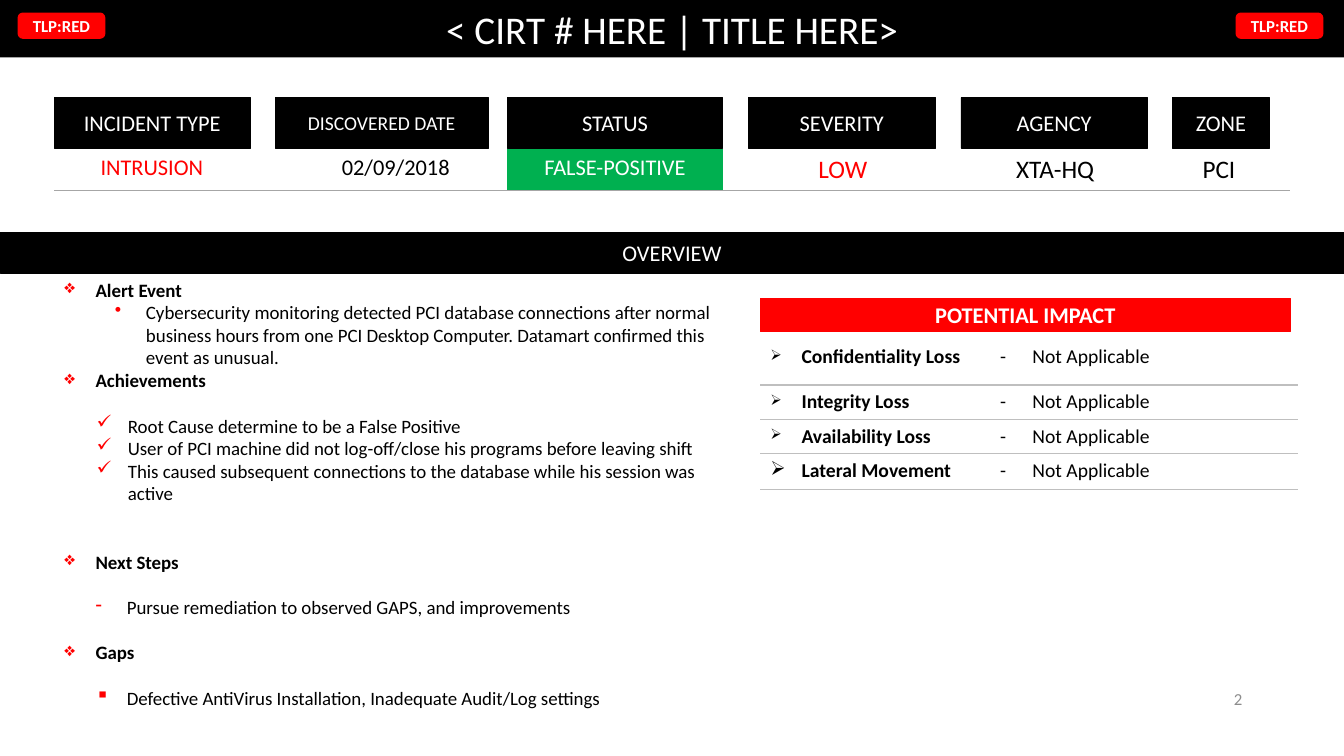
"""Build the one-page incident report slide."""
from dataclasses import dataclass
from typing import Optional

from lxml.etree import SubElement
from pptx import Presentation
from pptx.dml.color import RGBColor
from pptx.enum.shapes import MSO_SHAPE as SHAPE
from pptx.enum.text import MSO_ANCHOR as ANCHOR, PP_ALIGN as ALIGN
from pptx.oxml.ns import qn
from pptx.util import Inches, Pt


@dataclass(frozen=True)
class Theme:
    font: str = "Calibri"
    black: str = "000000"
    white: str = "FFFFFF"
    red: str = "FF0000"
    green: str = "00B050"
    status_rule: str = "A6A6A6"
    impact_rule: str = "BFBFBF"
    muted: str = "8C8C8C"
    title: float = 28
    large: float = 18
    heading: float = 16
    impact: float = 14
    body: float = 13.5
    small: float = 12
    body_line: float = 16.2


T = Theme()


@dataclass(frozen=True)
class Bar:
    text: str
    left: float
    top: float
    width: float
    height: float
    size: float = T.heading
    fill: str = T.black
    line: Optional[float] = 0.5
    bold: bool = False
    shape: SHAPE = SHAPE.RECTANGLE


@dataclass(frozen=True)
class Status:
    text: str
    width: float
    size: float = T.heading
    color: str = T.black
    fill: Optional[str] = None
    indent: float = 0


@dataclass(frozen=True)
class Note:
    text: str
    mark: str = "❖"
    margin: float = 0.31
    blank_lines: int = 0
    bold: bool = False


@dataclass(frozen=True)
class Impact:
    name: str
    height: float
    mark_size: int = 75
    value: str = "Not Applicable"


HEADERS = [("INCIDENT TYPE", 0.54, 1.94, T.heading), ("DISCOVERED DATE", 2.73, 2.11, T.impact),
           ("STATUS", 5.03, 2.14, T.heading), ("SEVERITY", 7.42, 1.86, T.heading),
           ("AGENCY", 9.53, 1.85, T.heading), ("ZONE", 11.63, 0.96, T.heading)]

BARS = [Bar(text, left, 0.97, width, 0.5, size) for text, left, width, size in HEADERS] + [
    Bar("OVERVIEW", 0, 2.31, 13.33, 0.4),
    Bar("POTENTIAL IMPACT", 7.54, 2.96, 5.26, 0.33, fill=T.red, bold=True),
    Bar("< CIRT # HERE | TITLE HERE>", 0, 0, 13.33, 0.57, T.title, line=None),
] + [Bar("TLP:RED", left, 0.14, 0.84, 0.23, T.small, T.red, 2.25, True, SHAPE.ROUNDED_RECTANGLE)
     for left in (0.19, 12.27)]

STATUSES = [
    Status("INTRUSION", 1.93, color=T.red),
    Status("02/09/2018", 2.56, indent=0.35),
    Status("FALSE-POSITIVE", 2.14, color=T.white, fill=T.green),
    Status("LOW", 2.38, T.large, T.red),
    Status("XTA-HQ", 1.83, T.large),
    Status("PCI", 1.42, T.large),
]

NOTES = [
    Note("Alert Event", bold=True),
    Note("Cybersecurity monitoring detected PCI database connections after normal business hours "
         "from one PCI Desktop Computer. Datamart confirmed this event as unusual.", "•", 0.81),
    Note("Achievements", bold=True),
    Note("Root Cause determine to be a False Positive", "✓", 0.63, 1),
    Note("User of PCI machine did not log-off/close his programs before leaving shift", "✓", 0.63),
    Note("This caused subsequent connections to the database while his session was active", "✓", 0.63),
    Note("Next Steps", blank_lines=2, bold=True),
    Note("Pursue remediation to observed GAPS, and improvements", "-", 0.62, 1),
    Note("Gaps", blank_lines=1, bold=True),
    Note("Defective AntiVirus Installation, Inadequate Audit/Log settings", "▪", 0.62, 1),
]

IMPACTS = [Impact("Confidentiality Loss", 0.45), Impact("Integrity Loss", 0.34),
           Impact("Availability Loss", 0.34), Impact("Lateral Movement", 0.36, 100)]


def add_run(p, text: str, size: float, color: str, bold: bool = False) -> None:
    """Add one styled run to a paragraph."""
    r = p.add_run()
    r.text = text
    r.font.name, r.font.size, r.font.bold = T.font, Pt(size), bold
    r.font.color.rgb = RGBColor.from_string(color)


def set_indent(p, margin: float, first: float = 0) -> None:
    """Set the left margin and first-line indent of a paragraph."""
    pPr = p._p.get_or_add_pPr()
    pPr.set("marL", str(Inches(margin)))
    pPr.set("indent", str(Inches(first)))


def set_bullet(p, mark: str, color: str, percent: int = 100) -> None:
    """Give a paragraph a coloured bullet character."""
    pPr = p._p.get_or_add_pPr()
    SubElement(SubElement(pPr, qn("a:buClr")), qn("a:srgbClr"), val=color)
    SubElement(pPr, qn("a:buSzPct"), val=str(percent * 1000))
    SubElement(pPr, qn("a:buChar"), char=mark)


def style_cell(cell, rule: str, width: float, fill: Optional[str] = None) -> None:
    """Rule a cell along its bottom edge and set its fill."""
    tcPr = cell._tc.get_or_add_tcPr()
    for side in ("L", "R", "T"):
        SubElement(SubElement(tcPr, qn(f"a:ln{side}"), w="0"), qn("a:noFill"))
    ln = SubElement(tcPr, qn("a:lnB"), w=str(Pt(width)))
    SubElement(SubElement(ln, qn("a:solidFill")), qn("a:srgbClr"), val=rule)
    if fill:
        cell.fill.solid()
        cell.fill.fore_color.rgb = RGBColor.from_string(fill)
    else:
        cell.fill.background()


def add_bar(s, bar: Bar) -> None:
    """Draw a filled bar with a centred label."""
    sp = s.shapes.add_shape(bar.shape, *map(Inches, (bar.left, bar.top, bar.width, bar.height)))
    sp.shadow.inherit = False
    sp.fill.solid()
    sp.fill.fore_color.rgb = RGBColor.from_string(bar.fill)
    if bar.line:
        sp.line.color.rgb = RGBColor.from_string(bar.fill)
        sp.line.width = Pt(bar.line)
    else:
        sp.line.fill.background()
    tf = sp.text_frame
    tf.word_wrap, tf.vertical_anchor = True, ANCHOR.MIDDLE
    tf.paragraphs[0].alignment = ALIGN.CENTER
    add_run(tf.paragraphs[0], bar.text, bar.size, T.white, bar.bold)


def add_grid(s, left: float, top: float, widths: list[float], heights: list[float]):
    """Add an unbanded table with the given columns and rows."""
    box = map(Inches, (left, top, sum(widths), sum(heights)))
    table = s.shapes.add_table(len(heights), len(widths), *box).table
    table.first_row = table.horz_banding = False
    for column, width in zip(table.columns, widths):
        column.width = Inches(width)
    for row, height in zip(table.rows, heights):
        row.height = Inches(height)
    return table


def add_text_box(s, left: float, top: float, width: float, height: float):
    """Add a wrapping text box and return its text frame."""
    tf = s.shapes.add_textbox(*map(Inches, (left, top, width, height))).text_frame
    tf.word_wrap = True
    return tf


def add_statuses(s) -> None:
    """Draw the row of incident values."""
    table = add_grid(s, 0.54, 1.48, [status.width for status in STATUSES], [0.4])
    for cell, status in zip(table.rows[0].cells, STATUSES):
        p = cell.text_frame.paragraphs[0]
        p.alignment = ALIGN.CENTER
        set_indent(p, status.indent)
        add_run(p, status.text, status.size, status.color)
        style_cell(cell, T.status_rule, 0.5, status.fill)


def add_notes(s) -> None:
    """Write the bulleted overview."""
    tf = add_text_box(s, 0.54, 2.71, 6.76, 4.42)
    for i, note in enumerate(NOTES):
        p = tf.add_paragraph() if i else tf.paragraphs[0]
        p.space_before = Pt(note.blank_lines * T.body_line)
        set_indent(p, note.margin, -0.31)
        set_bullet(p, note.mark, T.red)
        add_run(p, note.text, T.body, T.black, note.bold)


def add_impacts(s) -> None:
    """Draw the potential impact table."""
    table = add_grid(s, 7.54, 3.37, [2.28, 3.05], [impact.height for impact in IMPACTS])
    for row, impact in zip(table.rows, IMPACTS):
        name, value = (cell.text_frame.paragraphs[0] for cell in row.cells)
        set_indent(name, 0.31, -0.31)
        set_bullet(name, "➢", T.black, impact.mark_size)
        add_run(name, impact.name, T.impact, T.black, True)
        set_indent(value, 0.32, -0.32)
        add_run(value, f"-\t{impact.value}", T.impact, T.black)
        for cell in row.cells:
            style_cell(cell, T.impact_rule, 1)


def main() -> None:
    """Build and save the slide."""
    prs = Presentation()
    prs.slide_width, prs.slide_height = Inches(13.33), Inches(7.5)
    s = prs.slides.add_slide(prs.slide_layouts[6])
    for bar in BARS:
        add_bar(s, bar)
    add_statuses(s)
    add_notes(s)
    add_impacts(s)
    tf = add_text_box(s, 9.42, 6.73, 3, 0.4)
    tf.vertical_anchor = ANCHOR.MIDDLE
    tf.paragraphs[0].alignment = ALIGN.RIGHT
    add_run(tf.paragraphs[0], "2", T.small, T.muted)
    prs.save("out.pptx")


if __name__ == "__main__":
    main()
